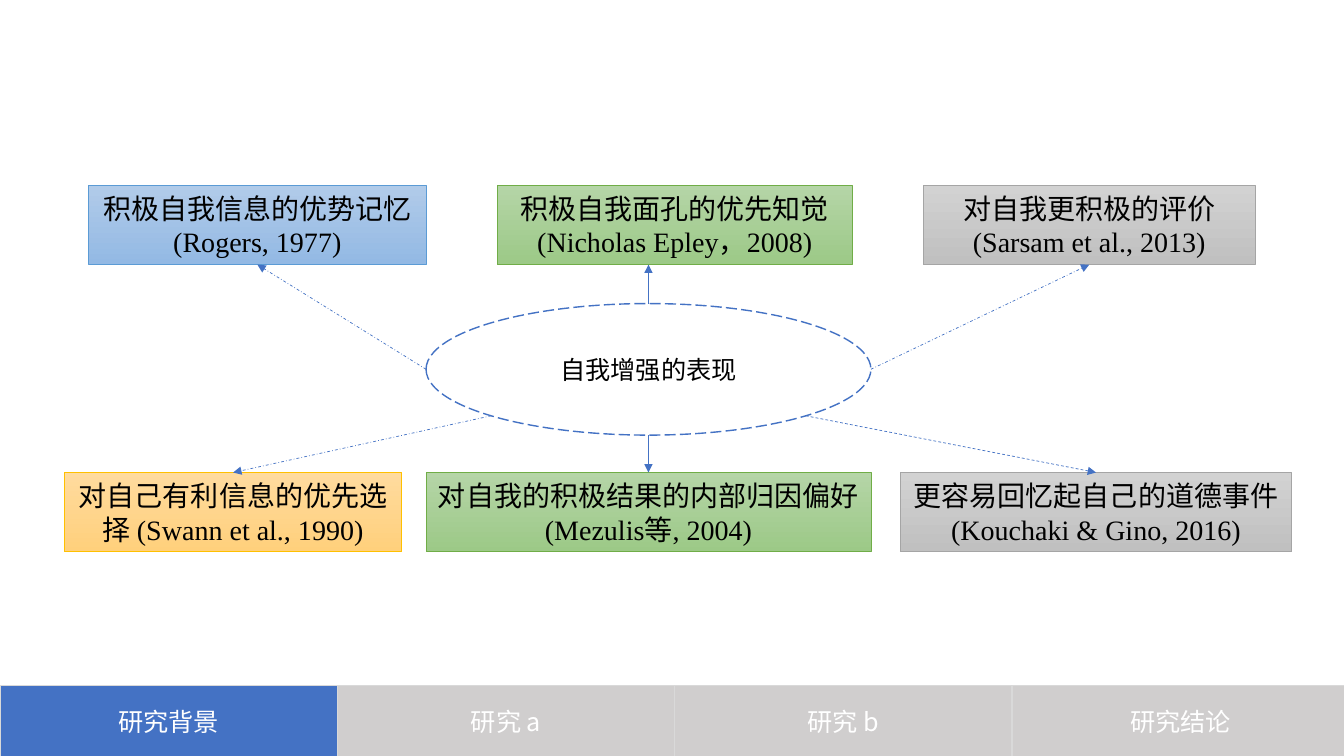
from dataclasses import dataclass
from math import cos, radians, sin
from typing import Optional

from lxml.etree import SubElement
from pptx import Presentation
from pptx.dml.color import RGBColor
from pptx.enum.dml import MSO_LINE_DASH_STYLE as Dash
from pptx.enum.shapes import MSO_CONNECTOR as Connector, MSO_SHAPE as Preset
from pptx.enum.text import MSO_ANCHOR as Anchor, PP_ALIGN as Align
from pptx.oxml.ns import qn
from pptx.shapes.autoshape import Shape
from pptx.util import Inches, Pt

COLORS = {
    "accent": "4472C4", "tab": "D0CECE", "tab_edge": "D9D9D9",
    "black": "000000", "white": "FFFFFF",
}
# Gradient top, gradient bottom, outline
TINTS = {
    "blue": ("B1CBE9", "93B9E4", "5B9BD5"),
    "green": ("B5D5A7", "9CC987", "70AD47"),
    "gray": ("D2D2D2", "C0C0C0", "A5A5A5"),
    "gold": ("FFDB9E", "FFD07C", "FFC000"),
}
SERIF, SANS = "Times New Roman", "Noto Sans CJK SC"

# Lengths below are percentages of the slide's width or height
UPPER, LOWER, BOX_HEIGHT = 24.5, 62.5, 10.5
TAB_TOP, TAB_WIDTH, TAB_HEIGHT = 90.65, 25.1, 9.45
HUB_LEFT, HUB_TOP, HUB_WIDTH, HUB_HEIGHT = 31.7, 40.15, 33.1, 17.4
TOP_SIDE, BOTTOM_SIDE = 0, 2


@dataclass(frozen=True)
class Finding:
    left: float
    top: float
    width: float
    tint: str
    lines: tuple[str, ...]
    hub_angle: float  # degrees clockwise from the hub's right end
    dash: Optional[Dash] = None


FINDINGS = (
    Finding(6.6, UPPER, 25.1, "blue", ("积极自我信息的优势记忆(Rogers, 1977)",), 180, Dash.DASH_DOT),
    Finding(37, UPPER, 26.4, "green", ("积极自我面孔的优先知觉(Nicholas Epley，2008)",), 270),
    Finding(68.7, UPPER, 24.7, "gray", ("对自我更积极的评价 (Sarsam et al., 2013)",), 0, Dash.DASH_DOT),
    Finding(4.8, LOWER, 25.1, "gold", ("对自己有利信息的优先选择 (Swann et al., 1990)",), 135, Dash.DASH_DOT),
    Finding(31.7, LOWER, 33.1, "green", ("对自我的积极结果的内部归因偏好", "(Mezulis等, 2004)"), 90),
    Finding(67, LOWER, 29.1, "gray", ("更容易回忆起自己的道德事件", "(Kouchaki & Gino, 2016)"), 45, Dash.DASH),
)
TABS = ("研究背景", "研究 a", "研究 b", "研究结论")

deck = Presentation()
deck.slide_width, deck.slide_height = Inches(13.33), Inches(7.5)
slide = deck.slides.add_slide(deck.slide_layouts[6])


def across(share: float) -> int:
    return round(deck.slide_width * share / 100)


def down(share: float) -> int:
    return round(deck.slide_height * share / 100)


def add_panel(preset: Preset, left: float, top: float, width: float, height: float,
              outline: str, weight: float) -> Shape:
    panel = slide.shapes.add_shape(preset, across(left), down(top), across(width), down(height))
    panel.shadow.inherit = False
    panel.line.color.rgb = RGBColor.from_string(outline)
    panel.line.width = Pt(weight)
    return panel


def write(panel: Shape, lines: tuple[str, ...], size: int, font: str, color: str) -> None:
    frame = panel.text_frame
    frame.word_wrap = True
    frame.vertical_anchor = Anchor.MIDDLE
    for number, line in enumerate(lines):
        paragraph = frame.add_paragraph() if number else frame.paragraphs[0]
        paragraph.alignment = Align.CENTER
        run = paragraph.add_run()
        run.text = line
        run.font.size = Pt(size)
        run.font.name = font
        run.font.color.rgb = RGBColor.from_string(COLORS[color])
        SubElement(run.font._element, qn("a:ea"), typeface=SANS)


def add_finding(finding: Finding) -> Shape:
    *gradient, outline = TINTS[finding.tint]
    box = add_panel(Preset.RECTANGLE, finding.left, finding.top, finding.width, BOX_HEIGHT,
                    outline, 0.5)
    box.fill.gradient()
    box.fill.gradient_angle = 270
    for stop, color in zip(box.fill.gradient_stops, gradient):
        stop.color.rgb = RGBColor.from_string(color)
    write(box, finding.lines, 20, SERIF, "black")
    return box


def add_hub() -> None:
    hub = add_panel(Preset.OVAL, HUB_LEFT, HUB_TOP, HUB_WIDTH, HUB_HEIGHT, COLORS["accent"], 1)
    hub.fill.background()
    hub.line.dash_style = Dash.LONG_DASH
    write(hub, ("自我增强的表现",), 18, SANS, "black")


def add_arrow(finding: Finding, box: Shape) -> None:
    """Draw from the hub's rim to the facing side of the box; vertical arrows stay upright."""
    angle = radians(finding.hub_angle)
    start_x = across(HUB_LEFT + HUB_WIDTH / 2 * (1 + cos(angle)))
    start_y = down(HUB_TOP + HUB_HEIGHT / 2 * (1 + sin(angle)))
    is_upper = finding.top == UPPER
    end_y = box.top + box.height if is_upper else box.top
    arrow = slide.shapes.add_connector(Connector.STRAIGHT, start_x, start_y, start_x, end_y)
    if abs(box.left + box.width / 2 - start_x) < across(0.1) or finding.dash is not None:
        arrow.end_connect(box, BOTTOM_SIDE if is_upper else TOP_SIDE)
    arrow.line.color.rgb = RGBColor.from_string(COLORS["accent"])
    arrow.line.width = Pt(0.5)
    if finding.dash is not None:
        arrow.line.dash_style = finding.dash
    SubElement(arrow.line._get_or_add_ln(), qn("a:tailEnd"), type="triangle")
    SubElement(arrow._element.spPr, qn("a:effectLst"))


def add_tab(number: int, label: str) -> None:
    tab = add_panel(Preset.RECTANGLE, number * TAB_WIDTH, TAB_TOP, TAB_WIDTH, TAB_HEIGHT,
                    COLORS["tab_edge"], 1)
    tab.fill.solid()
    tab.fill.fore_color.rgb = RGBColor.from_string(COLORS["tab" if number else "accent"])
    write(tab, (label,), 18, SANS, "white")


def main() -> None:
    boxes = [add_finding(finding) for finding in FINDINGS]
    for number, label in enumerate(TABS):
        add_tab(number, label)
    add_hub()
    for finding, box in zip(FINDINGS, boxes):
        add_arrow(finding, box)
    deck.save("out.pptx")


if __name__ == "__main__":
    main()
